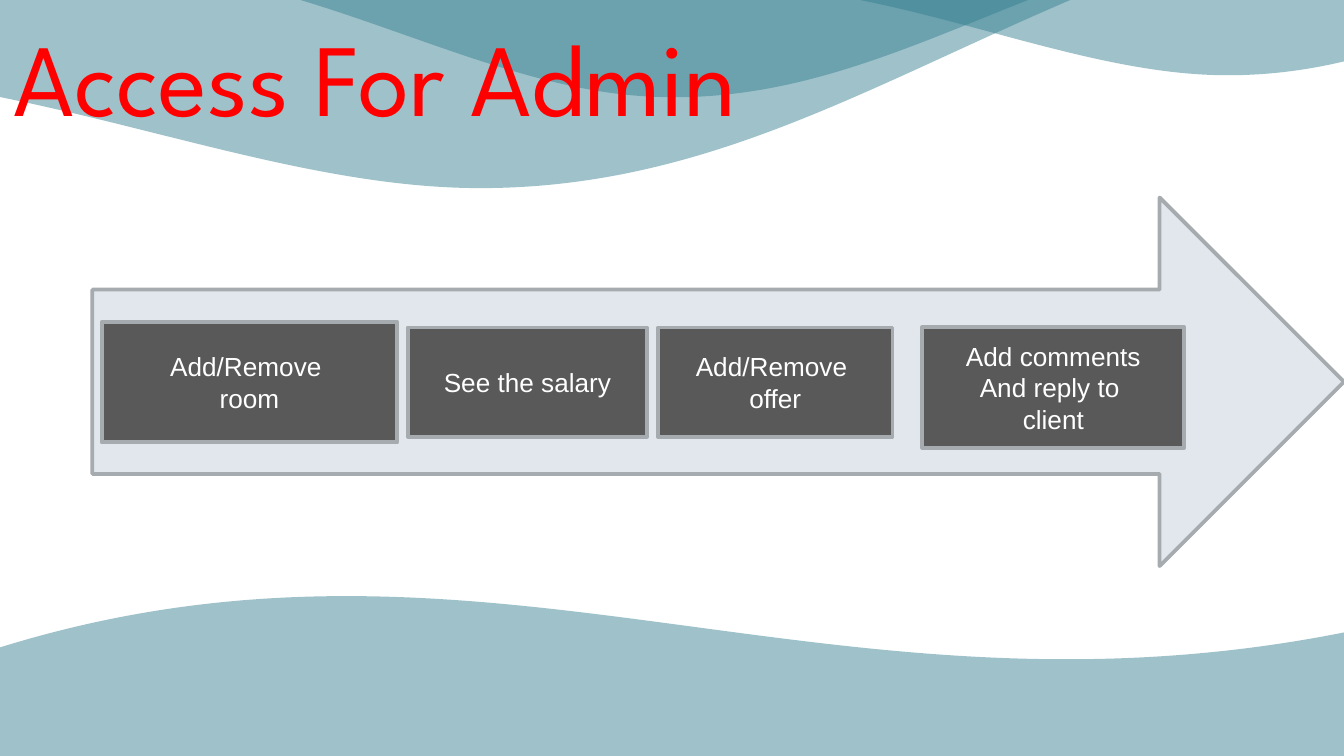
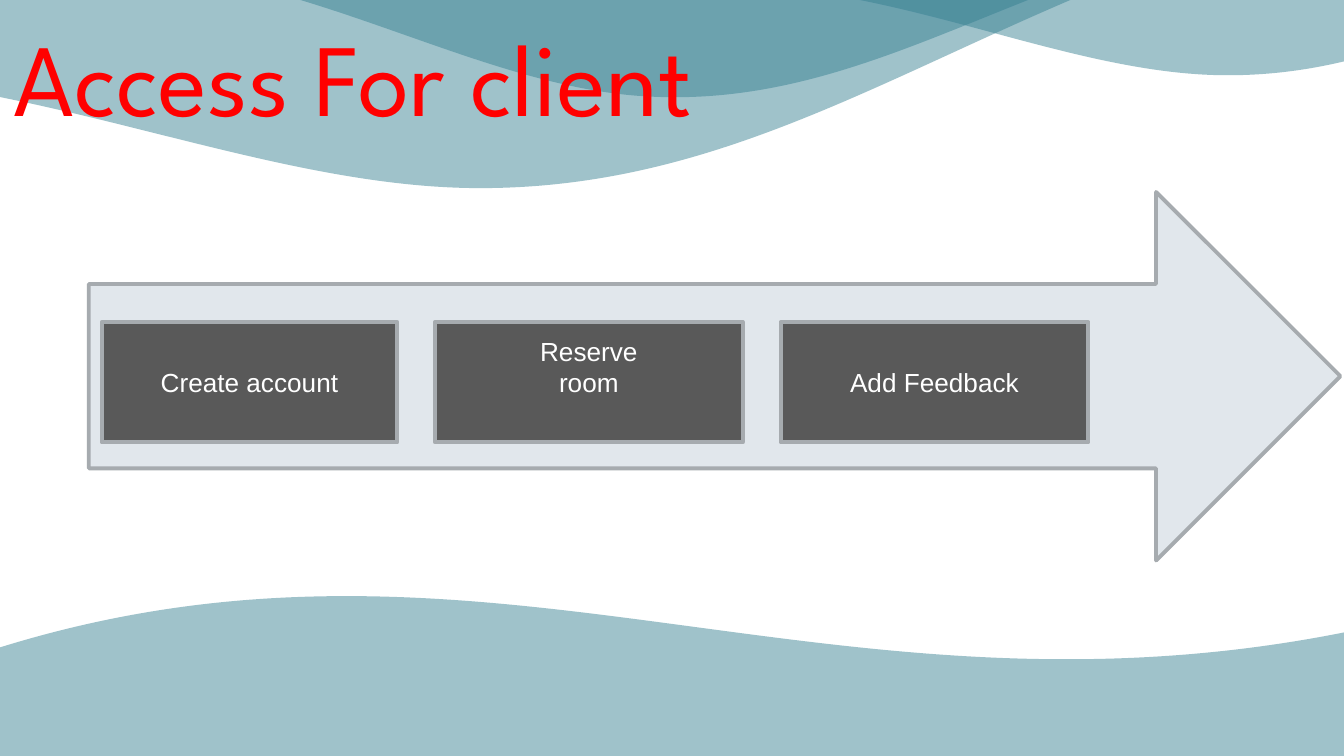
"""Build two slides that list what an admin and a client can access."""
import lxml.etree
import pptx
import pptx.dml.color
import pptx.enum.shapes
import pptx.enum.text
import pptx.oxml.ns
import pptx.util

Pt = pptx.util.Pt
RGBColor = pptx.dml.color.RGBColor
SHAPE = pptx.enum.shapes.MSO_SHAPE
ANCHOR = pptx.enum.text.MSO_ANCHOR
ALIGN = pptx.enum.text.PP_ALIGN
qn = pptx.oxml.ns.qn

TEAL = RGBColor(0x33, 0x7E, 0x90)
RED = RGBColor(0xFF, 0x00, 0x00)
PALE = RGBColor(0xE1, 0xE7, 0xEC)
GREY = RGBColor(0xA6, 0xAB, 0xAF)
DARK = RGBColor(0x59, 0x59, 0x59)
WHITE = RGBColor(0xFF, 0xFF, 0xFF)

WAVE_ALPHA = 47000
CREST = [
    [(0, 0.64)],
    [(0.13, 0.64), (0.25, 1), (0.365, 1)],
    [(0.574, 1), (0.683, 0), (1, 0)],
    [(0, 0)],
]
SWELL = [
    [(0, 1)],
    [(1, 1)],
    [(1, 0)],
    [(0.688, 0.846), (0.276, 0.5), (0, 1)],
]
WAVES = [
    (388.1, -93.6, 738.7, 133.9, 0, CREST),
    (77, -74.9, 738.7, 133.9, 4.3, CREST),
    (-113, -69.8, 1014.5, 170.6, 0, CREST),
    (30.2, -261.4, 1018.8, 1005.8, 30.5, SWELL),
]

SLIDES = [
    ("Access For Admin", (49.5, 105.8), [
        (54.5, 172.4, 158.4, 64.6, ["Add/Remove ", "room"], 3.6),
        (218.5, 175.5, 128.2, 58.5, ["See the salary"], 3.6),
        (352.5, 175.5, 125.6, 58.5, ["Add/Remove ", "offer"], 3.6),
        (494.1, 175.2, 140.4, 64.8, ["Add comments", "And reply to ", "client"], 3.6),
    ]),
    ("Access For client", (47.6, 102.8), [
        (54.5, 172.4, 158.4, 64.6, ["Create account"], 3.6),
        (418.2, 172.4, 164.9, 64.6, ["Add Feedback"], 3.6),
        (233, 172.4, 164.9, 64.6, ["Reserve", "room"], 20),
    ]),
]


def write_text(frame, lines, font="Arial", size=14, color=WHITE,
               align=ALIGN.CENTER, anchor=ANCHOR.MIDDLE):
    frame.word_wrap = True
    frame.vertical_anchor = anchor
    for index, line in enumerate(lines):
        para = frame.paragraphs[0] if index == 0 else frame.add_paragraph()
        para.alignment = align
        span = para.add_run()
        span.text = line
        span.font.name = font
        span.font.size = Pt(size)
        span.font.color.rgb = color


def add_outlined(page, kind, left, top, width, height, fill):
    shape = page.shapes.add_shape(kind, Pt(left), Pt(top), Pt(width), Pt(height))
    shape.shadow.inherit = False
    shape.fill.solid()
    shape.fill.fore_color.rgb = fill
    shape.line.color.rgb = GREY
    shape.line.width = Pt(2)
    return shape


deck = pptx.Presentation()
deck.slide_width = Pt(720)
deck.slide_height = Pt(405)
layout = deck.slide_layouts[6]
for placeholder in list(layout.placeholders):
    layout.shapes.element.remove(placeholder.element)
pages = [deck.slides.add_slide(layout) for entry in SLIDES]

for left, top, width, height, angle, outline in WAVES:
    ends = [(Pt(left + piece[-1][0] * width), Pt(top + piece[-1][1] * height))
            for piece in outline]
    builder = pages[0].shapes.build_freeform(*ends[0])
    builder.add_line_segments(ends[1:], close=False)
    band = builder.convert_to_shape()
    track = band.element.find(".//" + qn("a:path"))
    for segment, piece in zip(list(track)[1:], outline[1:]):
        if len(piece) == 3:
            curve = lxml.etree.Element(qn("a:cubicBezTo"))
            for x, y in piece:
                lxml.etree.SubElement(curve, qn("a:pt"),
                                      x=str(round(x * band.width)),
                                      y=str(round(y * band.height)))
            track.replace(segment, curve)
    lxml.etree.SubElement(track, qn("a:close"))
    band.rotation = angle
    band.shadow.inherit = False
    band.line.fill.background()
    band.fill.solid()
    band.fill.fore_color.rgb = TEAL
    tint = band.element.spPr.find(qn("a:solidFill") + "/" + qn("a:srgbClr"))
    lxml.etree.SubElement(tint, qn("a:alpha"), val=str(WAVE_ALPHA))
    band.name = f"Wave {len(layout.shapes) + 1}"
    band.element.nvSpPr.cNvPr.set("id", str(len(layout.shapes) + 2))
    layout.shapes.element.append(band.element)

for page, (title, (arrow_left, arrow_top), steps) in zip(pages, SLIDES):
    heading = page.shapes.add_textbox(Pt(0), Pt(0), Pt(494), Pt(80.6)).text_frame
    heading.margin_left = heading.margin_right = Pt(7.2)
    heading.margin_top = heading.margin_bottom = Pt(7.2)
    write_text(heading, [title], font="League Spartan", size=55, color=RED,
               align=ALIGN.LEFT, anchor=ANCHOR.TOP)

    add_outlined(page, SHAPE.RIGHT_ARROW, arrow_left, arrow_top, 670.5, 197.5, PALE)

    for left, top, width, height, lines, bottom in steps:
        box = add_outlined(page, SHAPE.RECTANGLE, left, top, width, height, DARK)
        box.text_frame.margin_bottom = Pt(bottom)
        write_text(box.text_frame, lines)

deck.save("out.pptx")
